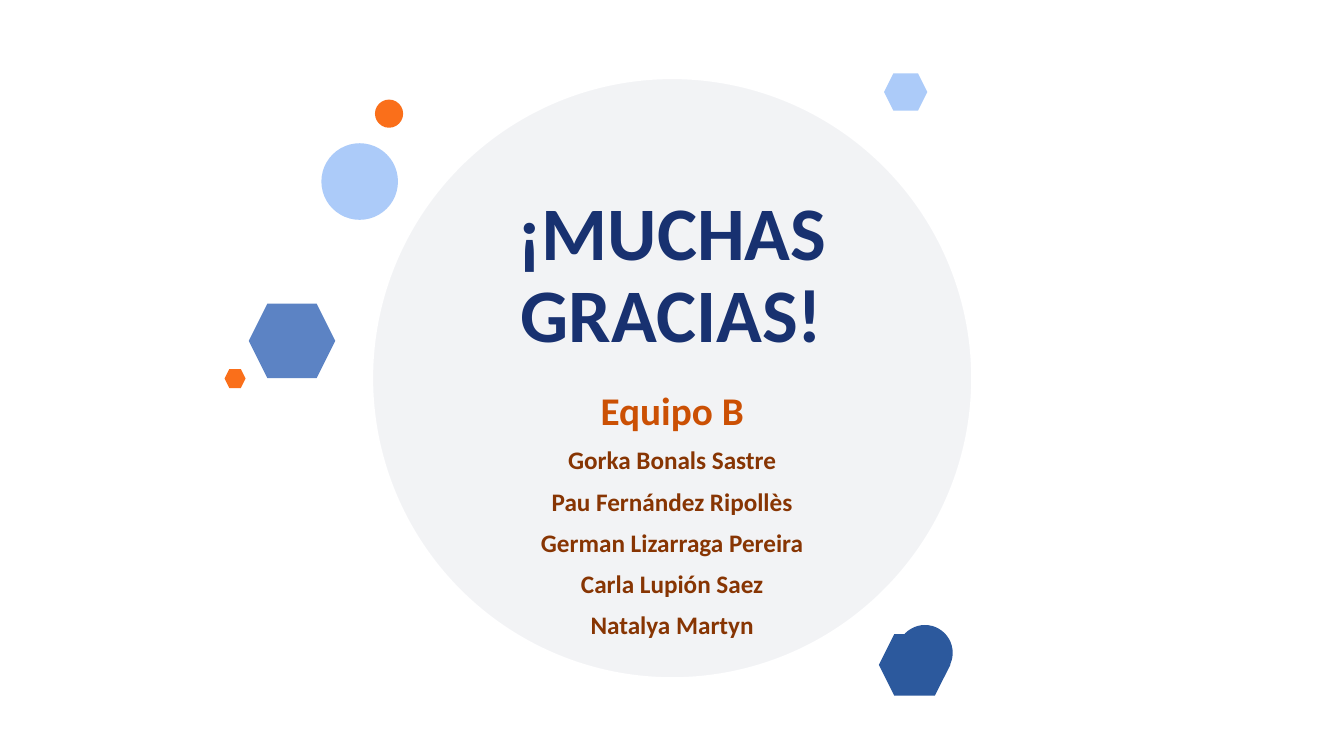
from lxml.etree import SubElement
from pptx import Presentation
from pptx.dml.color import RGBColor
from pptx.enum.shapes import MSO_SHAPE
from pptx.enum.text import MSO_ANCHOR, PP_ALIGN
from pptx.oxml.ns import qn
from pptx.util import Cm, Pt

COLORS = {
    "white": "FFFFFF",
    "navy": "11224E",
    "title": "183170",
    "dark_blue": "2C599D",
    "mid_blue": "5C83C4",
    "light_blue": "ACCBF9",
    "orange": "FA6F1A",
    "team": "CB5004",
    "member": "873503",
}

deck = Presentation()
deck.slide_width = Cm(33.87)
deck.slide_height = Cm(19.05)
page = deck.slides.add_slide(deck.slide_layouts[6])


def add_shape(kind, left, top, width, height, color, opacity=100, outline=0):
    """Add a filled shape in centimetres, with an optional white outline in points."""
    shape = page.shapes.add_shape(kind, Cm(left), Cm(top), Cm(width), Cm(height))
    shape.shadow.inherit = False
    shape.fill.solid()
    shape.fill.fore_color.rgb = RGBColor.from_string(COLORS[color])
    if opacity < 100:
        fill_color = shape.fill._xPr.find(qn("a:solidFill"))[0]
        SubElement(fill_color, qn("a:alpha"), val=str(opacity * 1000))
    if outline:
        shape.line.color.rgb = RGBColor.from_string(COLORS["white"])
        shape.line.width = Pt(outline)
    else:
        shape.line.fill.background()


def add_text(left, top, width, height, anchor, lines):
    """Add centred bold lines, each given as text, size in points and colour."""
    box = page.shapes.add_textbox(Cm(left), Cm(top), Cm(width), Cm(height))
    frame = box.text_frame
    frame.word_wrap = True
    frame.vertical_anchor = anchor
    frame.text = "\n".join(text for text, size, color in lines)
    for para, (text, size, color) in zip(frame.paragraphs, lines):
        para.alignment = PP_ALIGN.CENTER
        para.line_spacing = 0.9
        para.space_before = Pt(10)
        font = para.runs[0].font
        font.name = "Calibri"
        font.size = Pt(size)
        font.bold = True
        font.color.rgb = RGBColor.from_string(COLORS[color])


# Large disc: a tinted circle under a translucent white one, with dots between
add_shape(MSO_SHAPE.OVAL, 9.32, 1.91, 15.24, 15.24, "navy", 40, 4.75)
for left, top, diameter, color in [
    (22.61, 15.75, 1.4, "dark_blue"),
    (8.1, 3.61, 1.93, "light_blue"),
    (9.45, 2.51, 0.71, "orange"),
]:
    add_shape(MSO_SHAPE.OVAL, left, top, diameter, diameter, color)
add_shape(MSO_SHAPE.OVAL, 9.27, 1.85, 15.32, 15.32, "white", 87, 5)

for left, top, width, height, color in [
    (22.15, 15.98, 1.8, 1.55, "dark_blue"),
    (6.27, 7.65, 2.18, 1.88, "mid_blue"),
    (22.28, 1.85, 1.09, 0.94, "light_blue"),
    (5.66, 9.3, 0.53, 0.48, "orange"),
]:
    add_shape(MSO_SHAPE.HEXAGON, left, top, width, height, color)

members = [
    "Gorka Bonals Sastre",
    "Pau Fernández Ripollès",
    "German Lizarraga Pereira",
    "Carla Lupión Saez",
    "Natalya Martyn",
]
add_text(12.52, 9.55, 8.84, 6.71, MSO_ANCHOR.BOTTOM,
         [("Equipo B", 28, "team")] + [(name, 18, "member") for name in members])
add_text(10.62, 4.72, 12.62, 4.52, MSO_ANCHOR.MIDDLE,
         [("¡MUCHAS GRACIAS!", 54, "title")])

deck.save("out.pptx")
